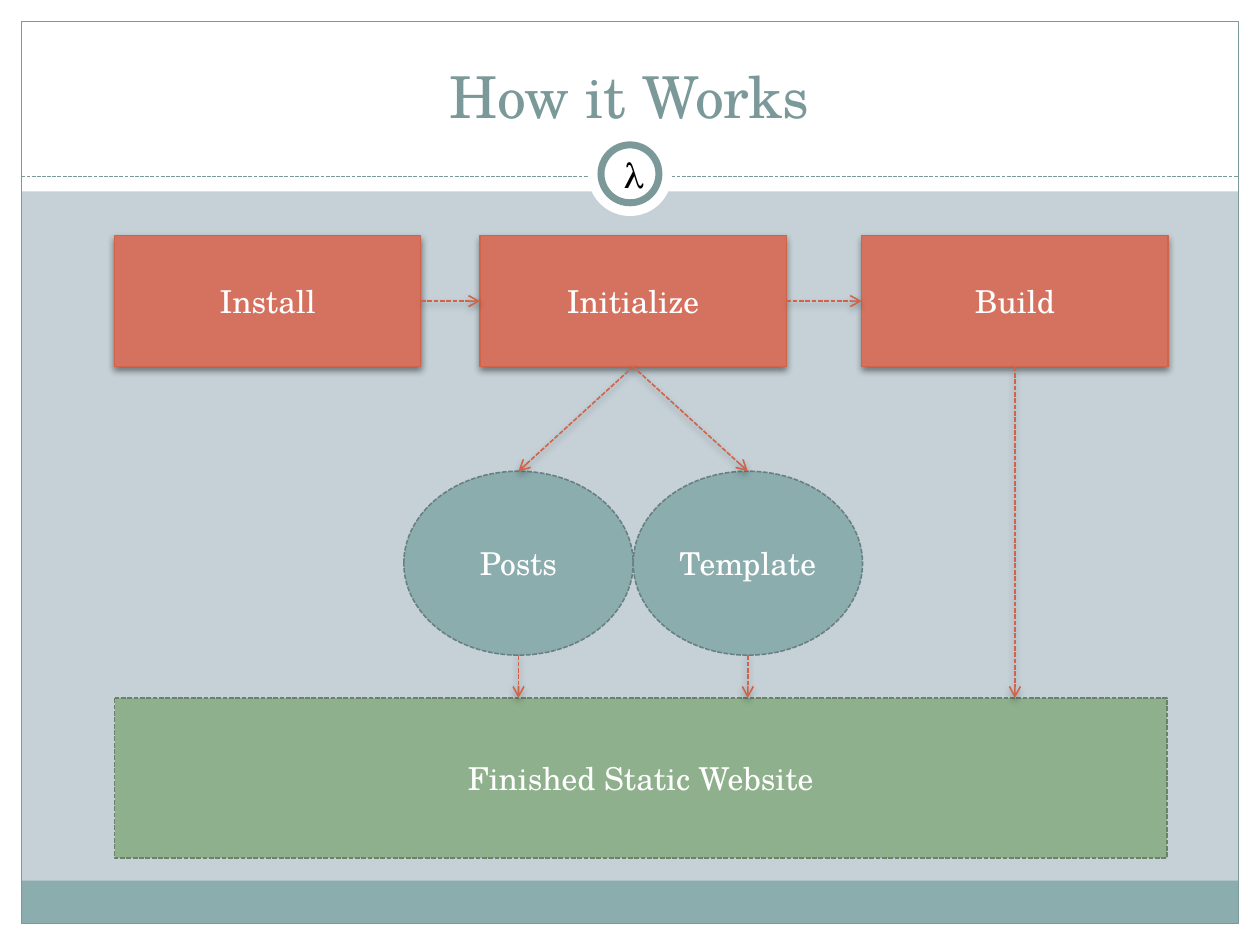
from dataclasses import dataclass

from lxml.etree import SubElement
from pptx import Presentation
from pptx.dml.color import RGBColor
from pptx.enum.dml import MSO_LINE
from pptx.enum.shapes import MSO_CONNECTOR, MSO_SHAPE
from pptx.enum.text import MSO_ANCHOR, PP_ALIGN
from pptx.oxml.ns import qn
from pptx.util import Inches, Pt

COLS, ROWS = 10, 7.5
CELL = Inches(1)
MARGIN = 0.17
HEADER = 1.52


@dataclass(frozen=True)
class Theme:
    """Colours, font and type sizes of the slide."""
    font: str = "TeX Gyre Schola"
    back: str = "C5D1D7"
    white: str = "FFFFFF"
    black: str = "000000"
    frame: str = "7C999A"
    teal: str = "8CADAE"
    teal_edge: str = "688081"
    red: str = "D4725F"
    red_edge: str = "D16349"
    green: str = "8FB08C"
    green_edge: str = "6A8268"
    title: float = 33
    symbol: float = 20
    label: float = 18


THEME = Theme()


def grid(*cells):
    """Turn columns and rows into lengths."""
    return [round(c * CELL) for c in cells]


def rgb(color):
    """Return the colour object of a hex string."""
    return RGBColor.from_string(color)


def style_line(line, color, width=0.75, dashed=False):
    """Set colour, width and dash of an outline."""
    line.color.rgb = rgb(color)
    line.width = Pt(width)
    if dashed:
        line.dash_style = MSO_LINE.SQUARE_DOT


def set_shadow(sp, alpha=0):
    """Give a shape a soft shadow below it, or none at alpha 0."""
    props = sp._element.spPr
    for old in props.findall(qn("a:effectLst")):
        props.remove(old)
    effects = SubElement(props, qn("a:effectLst"))
    if alpha:
        outer = SubElement(effects, qn("a:outerShdw"), blurRad=str(Pt(4)), dist=str(Pt(2)),
                           dir="5400000", algn="ctr", rotWithShape="0")
        tint = SubElement(outer, qn("a:srgbClr"), val=THEME.black)
        SubElement(tint, qn("a:alpha"), val=str(alpha * 1000))


def write(sp, text, size=THEME.label, color=THEME.white, align=PP_ALIGN.CENTER,
          anchor=MSO_ANCHOR.MIDDLE):
    """Put one formatted paragraph in a shape."""
    tf = sp.text_frame
    tf.word_wrap = True
    tf.vertical_anchor = anchor
    p = tf.paragraphs[0]
    p.alignment = align
    r = p.add_run()
    r.text = text
    r.font.name = THEME.font
    r.font.size = Pt(size)
    r.font.color.rgb = rgb(color)


def add_text(s, text, at, **form):
    """Add a text box."""
    write(s.shapes.add_textbox(*grid(*at)), text, **form)


def add_block(s, kind, at, fill=None, edge=None, width=0.75, dashed=False, shadow=0, text=None):
    """Add a preset shape with optional fill, outline, shadow and label."""
    sp = s.shapes.add_shape(kind, *grid(*at))
    if fill:
        sp.fill.solid()
        sp.fill.fore_color.rgb = rgb(fill)
    else:
        sp.fill.background()
    if edge:
        style_line(sp.line, edge, width, dashed)
    else:
        sp.line.fill.background()
    set_shadow(sp, shadow)
    if text:
        write(sp, text)
    return sp


def add_line(s, start, end, color, width=0.75):
    """Add a dashed line between two grid points."""
    line = s.shapes.add_connector(MSO_CONNECTOR.STRAIGHT, *grid(*start, *end))
    style_line(line.line, color, width, dashed=True)
    set_shadow(line)
    return line


def add_arrow(s, start=(0, 0), end=(0, 0), source=None, target=None):
    """Add an arrow between grid points or (shape, site) pairs."""
    arrow = add_line(s, start, end, THEME.red_edge, 0.9)
    if source:
        arrow.begin_connect(*source)
    if target:
        arrow.end_connect(*target)
    SubElement(arrow.line._get_or_add_ln(), qn("a:tailEnd"), type="arrow")
    set_shadow(arrow, 35)


def add_frame(s):
    """Draw the white margins, header, footer band, border and ring."""
    inner = COLS - 2 * MARGIN
    for at in ((0, ROWS - MARGIN, COLS, MARGIN), (0, 0, COLS, HEADER),
               (0, 0, MARGIN, ROWS), (COLS - MARGIN, 0, MARGIN, ROWS)):
        add_block(s, MSO_SHAPE.RECTANGLE, at, THEME.white)
    add_block(s, MSO_SHAPE.RECTANGLE, (MARGIN, 6.99, inner, 0.34), THEME.teal)
    add_block(s, MSO_SHAPE.RECTANGLE, (MARGIN, MARGIN, inner, ROWS - 2 * MARGIN), edge=THEME.frame)
    add_line(s, (MARGIN, 1.4), (COLS - MARGIN, 1.4), THEME.frame)
    for size, edge in ((0.67, None), (0.46, THEME.frame)):
        at = ((COLS - size) / 2, 1.38 - size / 2, size, size)
        add_block(s, MSO_SHAPE.OVAL, at, THEME.white, edge, 4)


def add_flow(s):
    """Draw the steps, their parts, the result and the arrows."""
    left, step_top, step_w, step_h = 0.91, 1.87, 2.43, 1.04
    oval_top, oval_w, oval_h, result_top = 3.74, 1.82, 1.46, 5.54
    middle = 3.81 + step_w / 2
    install, initialize, build = [
        add_block(s, MSO_SHAPE.FLOWCHART_PROCESS, (x, step_top, step_w, step_h), THEME.red,
                  THEME.red_edge, shadow=45, text=text)
        for x, text in ((left, "Install"), (3.81, "Initialize"), (6.84, "Build"))]
    add_block(s, MSO_SHAPE.FLOWCHART_PROCESS, (left, result_top, 8.35, 1.27), THEME.green,
              THEME.green_edge, 0.9, True, text="Finished Static Website")
    for x, text in ((middle - oval_w, "Posts"), (middle, "Template")):
        oval = add_block(s, MSO_SHAPE.FLOWCHART_CONNECTOR, (x, oval_top, oval_w, oval_h),
                         THEME.teal, THEME.teal_edge, 0.9, True, text=text)
        center = x + oval_w / 2
        add_arrow(s, source=(initialize, 2), target=(oval, 0))
        add_arrow(s, (center, oval_top + oval_h), (center, result_top))
    for source, target in ((install, initialize), (initialize, build)):
        add_arrow(s, source=(source, 3), target=(target, 1))
    add_arrow(s, end=(6.84 + step_w / 2, result_top), source=(build, 2))


def main():
    """Build the slide and save it."""
    prs = Presentation()
    prs.slide_width, prs.slide_height = grid(COLS, ROWS)
    s = prs.slides.add_slide(prs.slide_layouts[6])
    s.background.fill.solid()
    s.background.fill.fore_color.rgb = rgb(THEME.back)
    add_frame(s)
    add_text(s, "How it Works", (0.33, 0.25, 9.33, 0.83), size=THEME.title,
             color=THEME.frame, anchor=MSO_ANCHOR.BOTTOM)
    add_text(s, "λ", (4.85, 1.17, 0.64, 0.44), size=THEME.symbol, color=THEME.black,
             align=PP_ALIGN.LEFT, anchor=MSO_ANCHOR.TOP)
    add_flow(s)
    prs.save("out.pptx")


if __name__ == "__main__":
    main()
